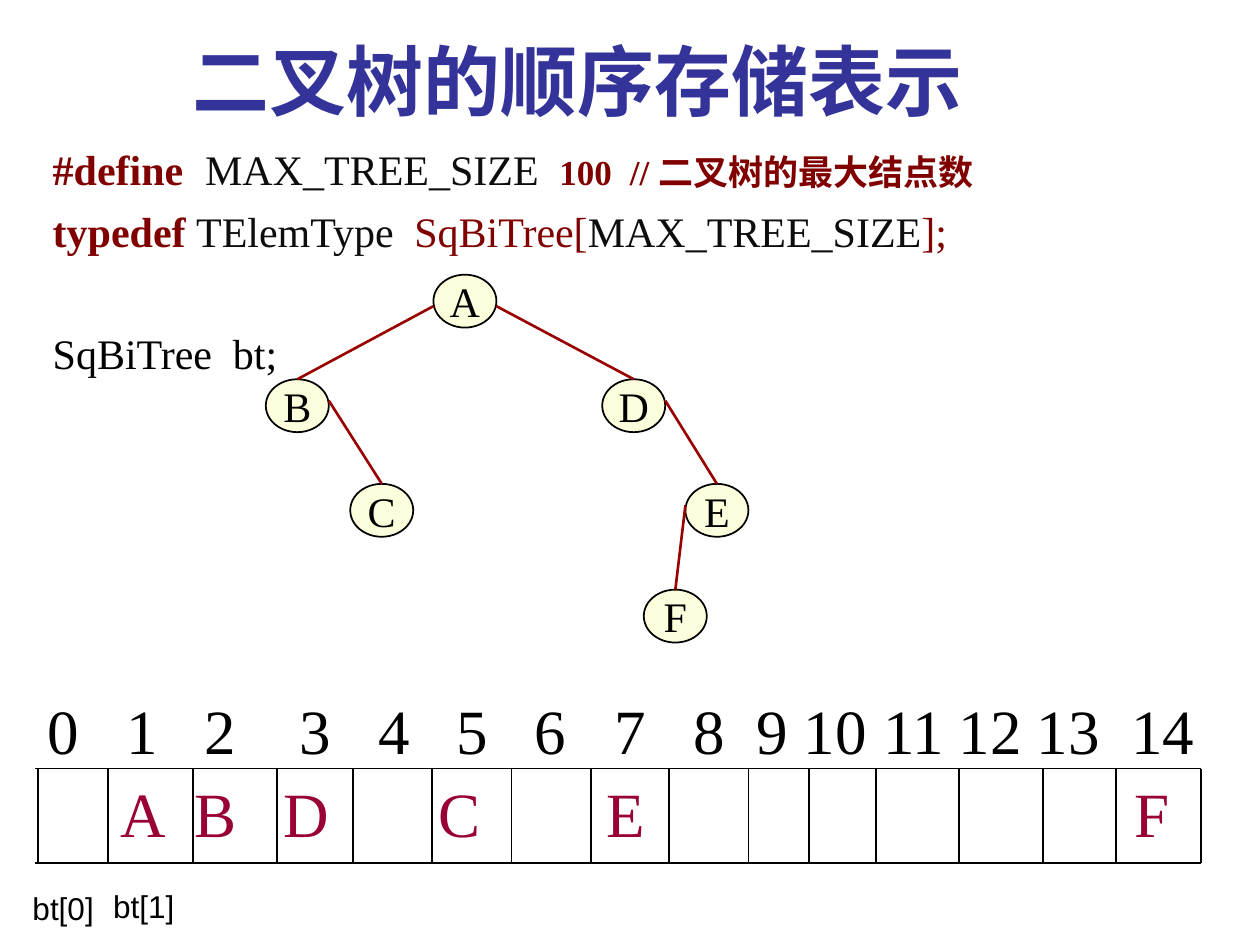
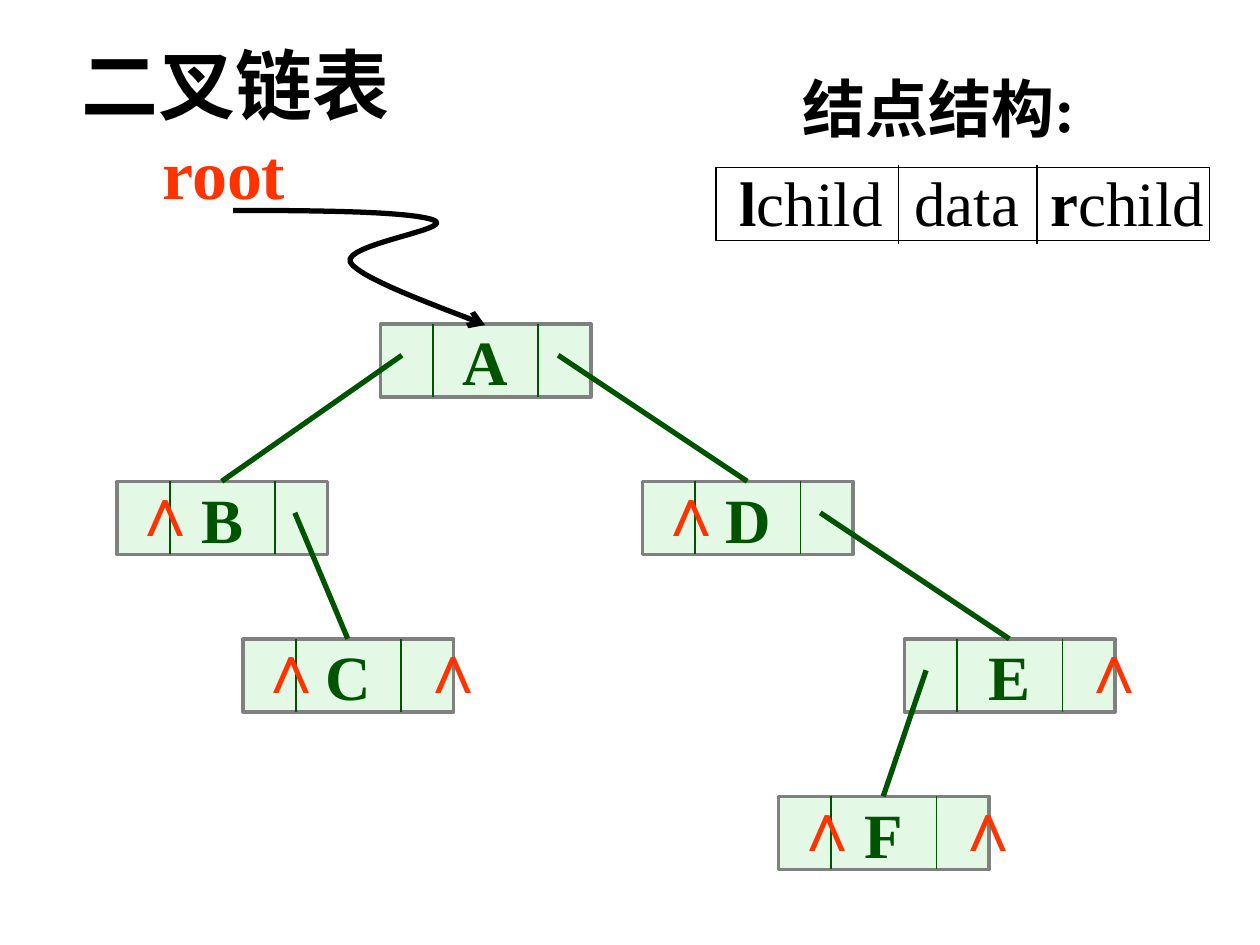
import lxml.etree
import pptx
import pptx.dml.color
import pptx.enum.shapes
import pptx.enum.text
import pptx.oxml.ns
import pptx.util

Inches = pptx.util.Inches
Pt = pptx.util.Pt
ALIGN = pptx.enum.text.PP_ALIGN
SHAPE = pptx.enum.shapes.MSO_SHAPE

COLORS = {
    "title": "333399", "black": "000000", "code": "0D0D0D", "keyword": "800000",
    "oval": "FCFEDC", "edge": "990000", "value": "990033",
    "node": "CAF2CE", "node_line": "808080", "green": "005400", "red": "FF3300",
}
SERIF, SANS, CHINESE = "Times New Roman", "Arial", "Noto Sans CJK SC"

CHILDREN = {
    "A": ("B", "D"), "B": (None, "C"), "C": (None, None),
    "D": (None, "E"), "E": ("F", None), "F": (None, None),
}
OVALS = {"A": (3.44, 2.18), "B": (2.11, 3.01), "D": (4.78, 3.01),
         "C": (2.78, 3.84), "E": (5.44, 3.84), "F": (5.11, 4.68)}
RECORDS = {"A": (3.02, 2.57), "D": (5.1, 3.82), "E": (7.18, 5.07),
           "B": (0.93, 3.82), "C": (1.93, 5.07), "F": (6.18, 6.32)}
DIVIDERS = [0.3, 0.86, 1.53, 2.2, 2.8, 3.43, 4.06, 4.69,
            5.31, 5.94, 6.42, 6.95, 7.61, 8.28, 8.86, 9.53]
INDEX_CENTERS = [0.5, 1.13, 1.75, 2.5, 3.13, 3.75, 4.37, 5,
                 5.63, 6.13, 6.63, 7.25, 7.86, 8.48, 9.23]
VALUE_CENTERS = {"A": 1.14, "B": 1.71, "D": 2.43, "C": 3.65, "E": 4.97, "F": 9.14}


def rgb(name):
    """Return the named colour."""
    return pptx.dml.color.RGBColor.from_string(COLORS[name])


def add_xml(parent, tag, **attributes):
    """Append a drawing element to a parent and return it."""
    return lxml.etree.SubElement(parent, pptx.oxml.ns.qn(tag), **attributes)


def set_font(font, size, color="black", name=SERIF, bold=False):
    """Set the size, colour, typeface and weight of a font."""
    font.size, font.name, font.bold = Pt(size), name, bold
    font.color.rgb = rgb(color)


def add_text(page, text, box, size, color="black", name=SERIF, bold=False,
             align=ALIGN.LEFT, spacing=None):
    """Add one line of text in a box that does not wrap."""
    shape = page.shapes.add_textbox(*map(Inches, box))
    shape.text_frame.auto_size = pptx.enum.text.MSO_AUTO_SIZE.SHAPE_TO_FIT_TEXT
    shape.text_frame.word_wrap = False
    para = shape.text_frame.paragraphs[0]
    para.text, para.alignment, para.line_spacing = text, align, spacing
    set_font(para.font, size, color, name, bold)
    if name == CHINESE:
        add_xml(para.font._element, "a:ea", typeface=name)
    return shape


def add_line(page, start, end, color="black", width=1):
    """Draw a straight line without a shadow."""
    line = page.shapes.add_connector(
        pptx.enum.shapes.MSO_CONNECTOR.STRAIGHT, *map(Inches, (*start, *end)))
    line.line.color.rgb, line.line.width = rgb(color), Pt(width)
    add_xml(line._element.spPr, "a:effectLst")


def add_shape(page, kind, box, fill, outline, width):
    """Add a preset shape, unfilled when fill is None."""
    shape = page.shapes.add_shape(kind, *map(Inches, box))
    shape.shadow.inherit = False
    if fill:
        shape.fill.solid()
        shape.fill.fore_color.rgb = rgb(fill)
    else:
        shape.fill.background()
    shape.line.color.rgb, shape.line.width = rgb(outline), Pt(width)
    return shape


def label_shape(shape, text, size, color="black", bold=False):
    """Centre a label in a shape."""
    frame = shape.text_frame
    frame.word_wrap = False
    frame.vertical_anchor = pptx.enum.text.MSO_ANCHOR.MIDDLE
    para = frame.paragraphs[0]
    para.text, para.alignment = text, ALIGN.CENTER
    set_font(para.font, size, color, SERIF, bold)


def add_edges(page, places, ports, drops, half, color, width):
    """Join each node's left and right ports to the top centres of its children."""
    for parent, children in CHILDREN.items():
        left, top = places[parent]
        drop = drops.get(parent, drops["other"])
        for port, child in zip(ports, children):
            if child:
                child_left, child_top = places[child]
                add_line(page, (left + port, top + drop),
                         (child_left + half, child_top), color, width)


def add_declarations(page, box):
    """Write the type declarations, with tab stops for the wide gaps."""
    lines = [
        (0, (1.21, 4.02, 4.58), [("#define", 24, "keyword", True),
                                 ("\tMAX_TREE_SIZE", 24, "code", False),
                                 ("\t100\t// 二叉树的最大结点数", 20, "keyword", True)]),
        (1, (2.87,), [("typedef ", 24, "keyword", True), ("TElemType", 24, "code", False),
                      ("\tSqBiTree[", 24, "keyword", False),
                      ("MAX_TREE_SIZE", 24, "code", False),
                      ("];", 24, "keyword", False)]),
        (35, (1.43,), [("SqBiTree\tbt;", 24, "black", False)]),
    ]
    frame = page.shapes.add_textbox(*map(Inches, box)).text_frame
    frame.word_wrap = True
    for number, (before, stops, spans) in enumerate(lines):
        para = frame.add_paragraph() if number else frame.paragraphs[0]
        para.line_spacing, para.space_before = 1.2, Pt(before)
        tabs = add_xml(para._p.get_or_add_pPr(), "a:tabLst")
        for stop in stops:
            add_xml(tabs, "a:tab", pos=str(Inches(stop)), algn="l")
        for text, size, color, bold in spans:
            span = para.add_run()
            span.text = text
            set_font(span.font, size, color, SERIF, bold)


def add_oval_tree(page):
    """Draw the binary tree with oval nodes."""
    for name, place in OVALS.items():
        oval = add_shape(page, SHAPE.OVAL, (*place, 0.5, 0.42), "oval", "black", 1)
        label_shape(oval, name, 24)
    add_edges(page, OVALS, (0, 0.5), {"A": 0.25, "other": 0.17}, 0.25, "edge", 1.5)


def add_array(page, top, height):
    """Draw the storage array with its indexes and values."""
    for y in (top, top + height):
        add_line(page, (0.28, y), (DIVIDERS[-1], y))
    for x in DIVIDERS:
        add_line(page, (x, top), (x, top + height))
    entries = [(str(i), x, top - 0.66, "black") for i, x in enumerate(INDEX_CENTERS)]
    entries += [(name, x, top, "value") for name, x in VALUE_CENTERS.items()]
    for text, center, y, color in entries:
        add_text(page, text, (center - 0.4, y, 0.8, 0.7), 36, color, align=ALIGN.CENTER)
    for text, left, y in (("bt[0]", 0.16, 0.91), ("bt[1]", 0.8, 0.89)):
        add_text(page, text, (left, top + y, 0.9, 0.4), 18, name=SANS)


def add_record(page, name, left, top):
    """Draw a linked node, marking its empty pointers."""
    width, height = 1.67, 0.58
    record = add_shape(page, SHAPE.RECTANGLE, (left, top, width, height),
                       "node", "node_line", 2)
    color = record.fill._xPr.find(".//" + pptx.oxml.ns.qn("a:srgbClr"))
    add_xml(color, "a:alpha", val="50000")
    label_shape(record, name, 36, "green", True)
    for x in (left + width / 4, left + width * 3 / 4):
        add_line(page, (x, top), (x, top + height), "green")
    for offset, child in zip((0.01, 1.29), CHILDREN[name]):
        if not child:
            add_text(page, "∧", (left + offset, top - 0.17, 0.38, 0.77),
                     40, "red", SANS, True)


def add_root_pointer(page, left, top):
    """Draw the curved arrow from the root label to the first node."""
    curves = [
        ((0, 0), (0.72, 0), (1.44, 0.01), (1.6, 0.08)),
        ((1.6, 0.08), (1.75, 0.15), (0.87, 0.27), (0.93, 0.41)),
        ((0.93, 0.41), (1, 0.55), (1.82, 0.83), (2, 0.91)),
    ]
    steps = 16
    points = []
    for curve in curves:
        for step in range(1, steps + 1):
            t = step / steps
            weights = ((1 - t) ** 3, 3 * t * (1 - t) ** 2, 3 * t * t * (1 - t), t ** 3)
            x, y = (sum(w * v for w, v in zip(weights, axis)) for axis in zip(*curve))
            points.append((Inches(left + x), Inches(top + y)))
    builder = page.shapes.build_freeform(Inches(left), Inches(top))
    builder.add_line_segments(points, close=False)
    pointer = builder.convert_to_shape()
    pointer.shadow.inherit = False
    pointer.fill.background()
    pointer.line.color.rgb, pointer.line.width = rgb("black"), Pt(3)
    add_xml(pointer.line._get_or_add_ln(), "a:tailEnd", type="arrow")


def add_node_layout(page, left, top):
    """Draw the three fields of a node under their heading."""
    add_text(page, "结点结构:", (left + 0.59, top - 0.83, 2.8, 0.7), 36, bold=True)
    add_shape(page, SHAPE.RECTANGLE, (left, top, 3.92, 0.58), None, "black", 1)
    for x in (left + 1.45, left + 2.55):
        add_line(page, (x, top - 0.02), (x, top + 0.61), width=0.75)
    for text, offset, width in (("lchild", 0.09, 1.6), ("data", 1.48, 1.3),
                                ("rchild", 2.56, 1.7)):
        box = add_text(page, text, (left + offset, top - 0.08, width, 0.7), 36)
        if text != "data":
            para = box.text_frame.paragraphs[0]
            para.runs[0].text = text[0]
            para.runs[0].font.bold = True
            para.add_run().text = text[1:]


def build_sequential_page(page):
    """Build the slide on sequential storage."""
    add_text(page, "二叉树的顺序存储表示", (1.43, 0.22, 6.8, 0.84), 44, "title", CHINESE, True)
    add_declarations(page, (0.32, 1.01, 9.35, 2.5))
    add_oval_tree(page)
    add_array(page, 6.1, 0.75)


def build_linked_page(page):
    """Build the slide on the linked list of nodes."""
    add_text(page, "二叉链表", (0.55, 0.1, 3.2, 0.98), 44, "black", CHINESE, True, spacing=1.2)
    add_node_layout(page, 5.68, 1.33)
    for name, place in RECORDS.items():
        add_record(page, name, *place)
    add_edges(page, RECORDS, (0.17, 1.41), {"other": 0.25}, 0.83, "green", 3)
    add_root_pointer(page, 1.85, 1.67)
    add_text(page, "root", (1.19, 0.98, 1.4, 0.77), 40, "red", bold=True)


def main():
    """Build and save the deck."""
    deck = pptx.Presentation()
    deck.slide_width, deck.slide_height = Inches(10), Inches(7.5)
    for build in (build_sequential_page, build_linked_page):
        build(deck.slides.add_slide(deck.slide_layouts[6]))
    deck.save("out.pptx")


if __name__ == "__main__":
    main()
